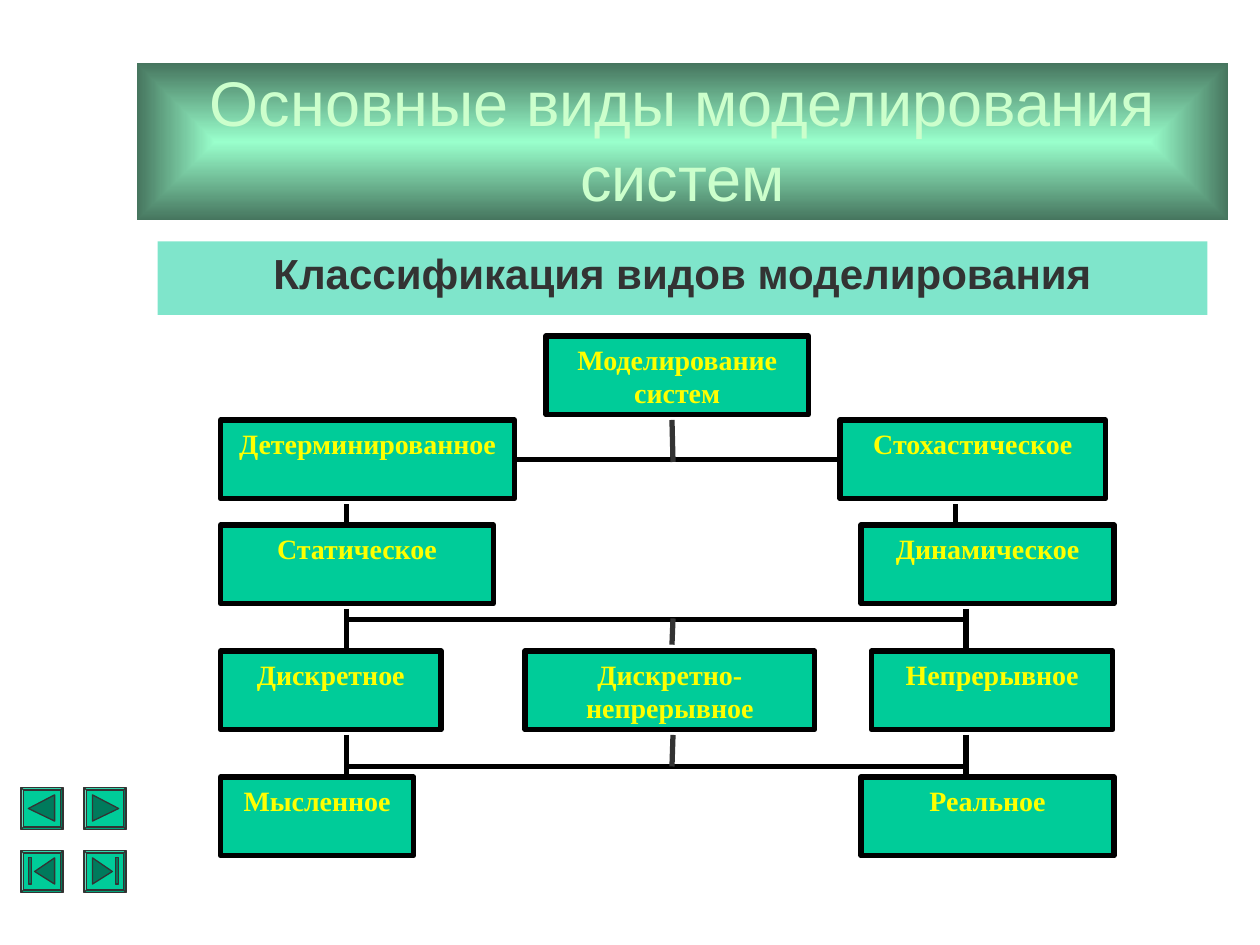
from lxml import etree
from pptx import Presentation
from pptx.dml.color import RGBColor
from pptx.enum.shapes import MSO_CONNECTOR, MSO_SHAPE
from pptx.enum.text import MSO_ANCHOR, PP_ALIGN
from pptx.oxml import parse_xml
from pptx.oxml.ns import nsdecls, qn
from pptx.util import Pt

PX = 914400 // 120
RECT, BEVEL = MSO_SHAPE.RECTANGLE, MSO_SHAPE.BEVEL
STRAIGHT = MSO_CONNECTOR.STRAIGHT
TOP, BOTTOM = MSO_ANCHOR.TOP, MSO_ANCHOR.BOTTOM
CENTER = PP_ALIGN.CENTER
LEFT_SIDE, RIGHT_SIDE = 1, 3

GREEN, DARK_GREEN, BLACK, GREY = "00CC99", "007A5C", "000000", "333333"
NODE_HEIGHT = 75
NODE_TEXT = {"name": "Times New Roman", "size": Pt(16), "bold": True}
TITLE_TEXT = {"name": "Arial", "size": Pt(36), "bold": False}
BANNER_TEXT = {"name": "Arial", "size": Pt(24), "bold": True}

# text: (left, top, width)
NODES = {
    "Моделирование систем": (520, 320, 250),
    "Детерминированное": (210, 400, 280),
    "Стохастическое": (800, 400, 253),
    "Статическое": (210, 500, 260),
    "Динамическое": (820, 500, 241),
    "Дискретное": (210, 620, 210),
    "Дискретно-непрерывное": (500, 620, 276),
    "Непрерывное": (830, 620, 230),
    "Мысленное": (210, 740, 184),
    "Реальное": (820, 740, 241),
}
BRANCHES = [
    (330, 480, 330, 500), (910, 480, 910, 500),
    (330, 580, 330, 620), (920, 580, 920, 620), (330, 590, 920, 590),
    (330, 700, 330, 740), (920, 700, 920, 740), (330, 730, 920, 730),
]
STEMS = [(640, 400, 641, 440), (641, 589, 640, 614), (641, 700, 640, 730)]


def color(value):
    return RGBColor.from_string(value)


def style(shape, fill, line=None, weight=0):
    shape.shadow.inherit = False
    shape.fill.solid()
    shape.fill.fore_color.rgb = color(fill)
    if line:
        shape.line.color.rgb = color(line)
        shape.line.width = Pt(weight)
    else:
        shape.line.fill.background()


def add_block(page, kind, box, fill, line=None, weight=0):
    shape = page.shapes.add_shape(kind, *(value * PX for value in box))
    style(shape, fill, line, weight)
    return shape


def write(shape, text, text_color, format_values, anchor=TOP):
    frame = shape.text_frame
    frame.word_wrap = True
    frame.vertical_anchor = anchor
    para = frame.paragraphs[0]
    para.alignment = CENTER
    span = para.add_run()
    span.text = text
    for name, value in format_values.items():
        setattr(span.font, name, value)
    span.font.color.rgb = color(text_color)
    return para


def add_line(page, ends, line_color):
    line = page.shapes.add_connector(STRAIGHT, *(value * PX for value in ends))
    line.line.color.rgb = color(line_color)
    line.line.width = Pt(3)
    etree.SubElement(line._element.spPr, qn("a:effectLst"))
    return line


def add_title(page, box):
    shape = add_block(page, RECT, box, "99FFCC")
    solid = shape._element.spPr.find(qn("a:solidFill"))
    gradient = parse_xml(
        f'<a:gradFill {nsdecls("a")} rotWithShape="0"><a:gsLst>'
        '<a:gs pos="0"><a:srgbClr val="99FFCC"/></a:gs>'
        '<a:gs pos="100000"><a:srgbClr val="46755E"/></a:gs></a:gsLst>'
        '<a:path path="rect"><a:fillToRect l="50000" t="50000" r="50000" b="50000"/>'
        '</a:path></a:gradFill>')
    solid.getparent().replace(solid, gradient)
    write(shape, "Основные виды моделирования систем", "CCFFCC", TITLE_TEXT, BOTTOM)


def add_banner(page, box):
    shape = add_block(page, RECT, box, GREEN)
    fill_color = shape._element.spPr.find(qn("a:solidFill"))[0]
    etree.SubElement(fill_color, qn("a:alpha"), val="50000")
    para = write(shape, "Классификация видов моделирования", GREY, BANNER_TEXT)
    para.space_before = Pt(15)


def add_tree(page):
    nodes = {}
    for text, (left, top, width) in NODES.items():
        box = (left, top, width, NODE_HEIGHT)
        nodes[text] = add_block(page, RECT, box, GREEN, BLACK, 3)
        write(nodes[text], text, "FFFF00", NODE_TEXT)
    link = add_line(page, (490, 440, 800, 440), BLACK)
    link.begin_connect(nodes["Детерминированное"], RIGHT_SIDE)
    link.end_connect(nodes["Стохастическое"], LEFT_SIDE)
    for ends in BRANCHES:
        add_line(page, ends, BLACK)
    for ends in STEMS:
        add_line(page, ends, GREY)


def add_button(page, left, top, size, forward, with_bar):
    """Bevelled button with an arrow, and a stop bar for first and last."""
    face = add_block(page, BEVEL, (left, top, size, size), GREEN, GREY, 0.75)
    face.adjustments[0] = 0.06
    tip = 13 if with_bar else 7
    outlines = [[(tip, 20), (32, 7), (32, 32)]]
    if with_bar:
        outlines.append([(7, 7), (10, 7), (10, 32), (7, 32)])

    def place(point):
        x, y = point
        return left + (size - x if forward else x), top + y

    icon = page.shapes.build_freeform(*place(outlines[0][0]), scale=PX)
    for index, outline in enumerate(outlines):
        points = [place(point) for point in outline]
        if index:
            icon.move_to(*points[0])
        icon.add_line_segments(points[1:], close=True)
    style(icon.convert_to_shape(), DARK_GREEN, GREY, 0.75)


def add_navigation(page, left, top, size=40, step=60):
    for row, with_bar in enumerate((False, True)):
        for column, forward in enumerate((False, True)):
            add_button(page, left + column * step, top + row * step,
                       size, forward, with_bar)


def main():
    deck = Presentation()
    deck.slide_width, deck.slide_height = 1200 * PX, 900 * PX
    page = deck.slides.add_slide(deck.slide_layouts[6])
    add_title(page, (130, 60, 1040, 150))
    add_tree(page)
    add_banner(page, (150, 230, 1000, 70))
    add_navigation(page, 20, 750)
    deck.save("out.pptx")


if __name__ == "__main__":
    main()
